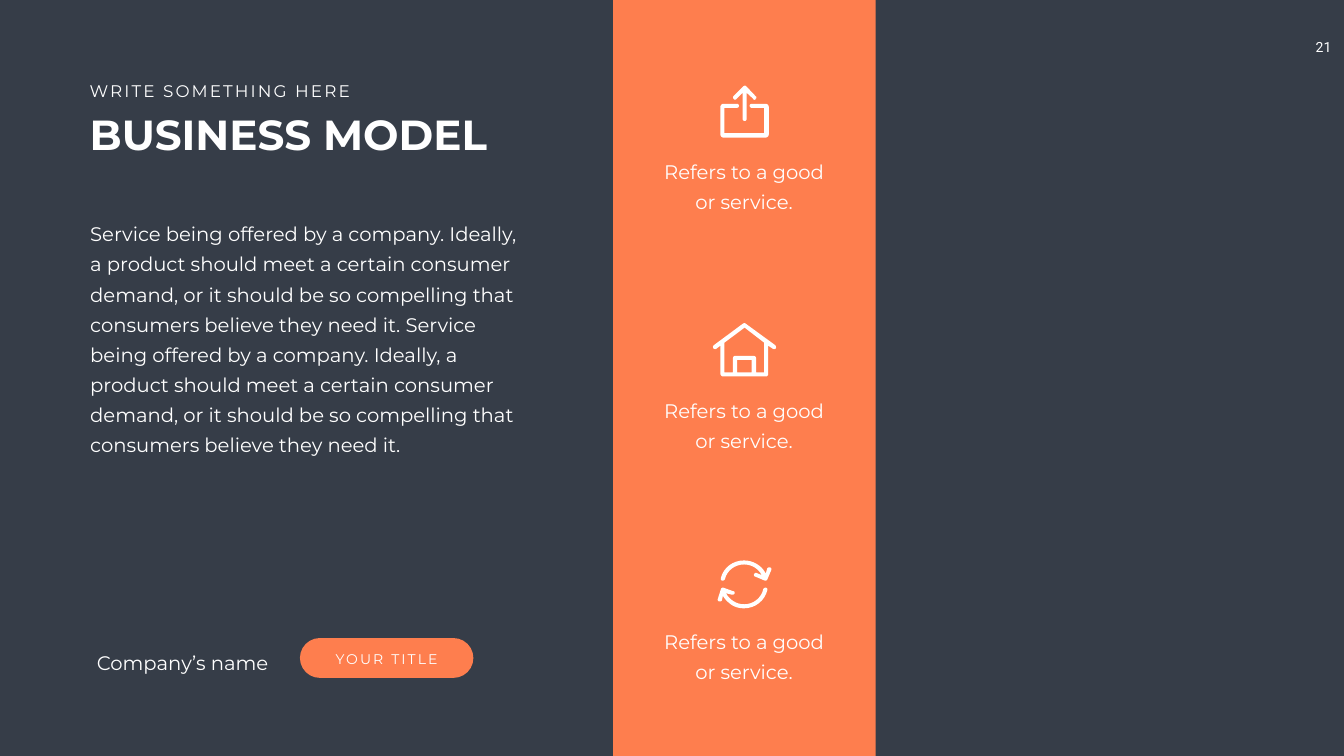
"""Build the business model slide with its orange column of three icons."""
from pptx import Presentation
from pptx.dml.color import RGBColor
from pptx.enum.shapes import MSO_SHAPE
from pptx.enum.text import MSO_AUTO_SIZE, PP_ALIGN
from pptx.util import Pt

RECT, PILL = MSO_SHAPE.RECTANGLE, MSO_SHAPE.ROUNDED_RECTANGLE
FIT = MSO_AUTO_SIZE.SHAPE_TO_FIT_TEXT
LEFT, CENTER = PP_ALIGN.LEFT, PP_ALIGN.CENTER
PX = 9144
COLORS = {name: RGBColor.from_string(value) for name, value in
          {"back": "363D48", "accent": "FE7E4E", "white": "FFFFFF"}.items()}
TIGHT, WIDE, PAGE = (10, 5, 10, 5), (24, 12, 24, 12), (20, 10, 36, 10)
STEPS = 8


def add_text(s, box, text, size, font="Montserrat", bold=False, align=LEFT,
             insets=TIGHT, wrap=True, leading=None, spacing=None):
    tb = s.shapes.add_textbox(*(v * PX for v in box))
    tf = tb.text_frame
    tf.word_wrap, tf.auto_size = wrap, FIT
    tf.margin_left, tf.margin_top, tf.margin_right, tf.margin_bottom = (v * PX for v in insets)
    p = tf.paragraphs[0]
    p.alignment = align
    if leading:
        p.line_spacing = Pt(leading)
    r = p.add_run()
    r.text = text
    r.font.name, r.font.size, r.font.bold = font, Pt(size), bold
    r.font.color.rgb = COLORS["white"]
    if spacing:
        r._r.get_or_add_rPr().set("spc", str(spacing * 100))


def add_outline(s, contours):
    fb = None
    for start, *segments in contours:
        points = [start]
        for seg in segments:
            if len(seg) == 2:
                points.append(seg)
                continue
            x0, y0 = points[-1]
            x1, y1, x2, y2, x3, y3 = seg
            for i in range(1, STEPS + 1):
                t = i / STEPS
                u = 1 - t
                a, b, c, d = u ** 3, 3 * u * u * t, 3 * u * t * t, t ** 3
                points.append((a * x0 + b * x1 + c * x2 + d * x3,
                               a * y0 + b * y1 + c * y2 + d * y3))
        points = [(round(x * PX), round(y * PX)) for x, y in points]
        if fb is None:
            fb = s.shapes.build_freeform(*points[0])
        else:
            fb.move_to(*points[0])
        fb.add_line_segments(points[1:], close=True)
    sp = fb.convert_to_shape()
    sp.shadow.inherit = False
    sp.fill.solid()
    sp.fill.fore_color.rgb = COLORS["white"]
    sp.line.fill.background()


prs = Presentation()
prs.slide_width, prs.slide_height = 2666 * PX, 1500 * PX
s = prs.slides.add_slide(prs.slide_layouts[6])
s.background.fill.solid()
s.background.fill.fore_color.rgb = COLORS["back"]

add_text(s, (2588, 67, 91, 54), "21", 20, font="Roboto", align=CENTER, insets=PAGE, wrap=False)
add_text(s, (168, 210, 893, 111), "BUSINESS MODEL", 60, bold=True)
add_text(s, (168, 155, 546, 50), "WRITE SOMETHING HERE", 24, wrap=False, spacing=3)
body = ("Service being offered by a company. Ideally, a product should meet a certain "
        "consumer demand, or it should be so compelling that consumers believe they need it.")
add_text(s, (155, 416, 906, 501), f"{body} {body}", 28, insets=WIDE, leading=43)
add_text(s, (168, 1266, 402, 79), "Company’s name", 28, insets=WIDE, leading=43)

for kind, box in ((PILL, (595, 1266, 344, 79)), (RECT, (1216, 0, 521, 1500))):
    sp = s.shapes.add_shape(kind, *(v * PX for v in box))
    sp.shadow.inherit = False
    sp.fill.solid()
    sp.fill.fore_color.rgb = COLORS["accent"]
    sp.line.fill.background()
    if kind == PILL:
        sp.adjustments[0] = 0.5
add_text(s, (619, 1285, 296, 44), "YOUR TITLE", 20, align=CENTER, spacing=3)

share_tray = [[
    (1519, 206), (1491, 206), (1489, 206, 1487, 208, 1487, 210),
    (1487, 212, 1489, 214, 1491, 214), (1516, 214), (1516, 264), (1437, 264),
    (1437, 214), (1462, 214), (1464, 214, 1466, 212, 1466, 210),
    (1466, 208, 1464, 206, 1462, 206), (1435, 206), (1432, 206, 1429, 209, 1429, 212),
    (1429, 267), (1429, 270, 1432, 273, 1435, 273), (1519, 273),
    (1522, 273, 1525, 270, 1525, 267), (1525, 212), (1525, 209, 1522, 206, 1519, 206)]]
share_arrow = [[
    (1458, 198), (1459, 198, 1460, 197, 1461, 196), (1473, 184), (1473, 236),
    (1473, 238, 1475, 240, 1477, 240), (1480, 240, 1481, 238, 1481, 236), (1481, 184),
    (1494, 196), (1494, 197, 1495, 198, 1497, 198), (1498, 198, 1499, 197, 1499, 196),
    (1501, 195, 1501, 192, 1499, 191), (1480, 171), (1479, 170, 1478, 170, 1477, 170),
    (1477, 170, 1476, 171, 1475, 171), (1455, 191), (1454, 192, 1454, 195, 1455, 196),
    (1456, 197, 1457, 198, 1458, 198)]]
refresh_top = [[
    (1528, 1126), (1526, 1125, 1523, 1126, 1522, 1128), (1519, 1138),
    (1511, 1122, 1494, 1112, 1476, 1112), (1454, 1112, 1435, 1126, 1430, 1147),
    (1429, 1150, 1431, 1152, 1433, 1152), (1436, 1152, 1437, 1151, 1438, 1149),
    (1442, 1132, 1458, 1120, 1476, 1120), (1491, 1120, 1504, 1128, 1511, 1141),
    (1501, 1137), (1499, 1136, 1497, 1137, 1496, 1139),
    (1495, 1141, 1496, 1144, 1498, 1144), (1517, 1152),
    (1520, 1152, 1521, 1152, 1522, 1150), (1530, 1131), (1531, 1129, 1530, 1127, 1528, 1126)]]
refresh_bottom = [[
    (1519, 1166), (1517, 1166, 1515, 1167, 1514, 1169),
    (1510, 1187, 1494, 1199, 1476, 1199), (1461, 1199, 1447, 1190, 1440, 1177),
    (1452, 1180), (1455, 1180, 1456, 1179, 1457, 1178),
    (1458, 1175, 1457, 1173, 1454, 1173), (1435, 1166), (1433, 1166),
    (1431, 1167, 1430, 1168, 1430, 1169), (1424, 1188),
    (1423, 1190, 1424, 1193, 1426, 1193), (1429, 1194, 1431, 1193, 1432, 1191),
    (1434, 1182), (1437, 1188, 1442, 1193, 1447, 1197),
    (1455, 1204, 1465, 1207, 1476, 1207), (1498, 1207, 1517, 1192, 1522, 1171),
    (1523, 1169, 1522, 1167, 1519, 1166)]]
house = [
    [(1538, 685), (1479, 642), (1478, 641, 1476, 641, 1474, 642), (1416, 685),
     (1414, 687, 1414, 689, 1415, 691), (1417, 693, 1419, 693, 1421, 692), (1429, 686),
     (1429, 741), (1429, 745, 1432, 747, 1435, 747), (1519, 747),
     (1522, 747, 1524, 745, 1524, 741), (1524, 686), (1533, 692),
     (1535, 693, 1538, 693, 1539, 691), (1540, 689, 1539, 687, 1538, 685)],
    [(1516, 739), (1500, 739), (1500, 711), (1500, 708, 1497, 706, 1495, 706),
     (1459, 706), (1456, 706, 1454, 708, 1454, 711), (1454, 739), (1437, 739),
     (1437, 680), (1477, 650), (1516, 680)],
    [(1491, 739), (1462, 739), (1462, 714), (1491, 714)]]
for icon in (share_tray, share_arrow, refresh_top, refresh_bottom, house):
    add_outline(s, icon)

for top in (293, 766, 1224):
    add_text(s, (1283, top, 386, 139), "Refers to a good or service.", 28,
             align=CENTER, insets=WIDE, leading=43)

prs.save("out.pptx")
